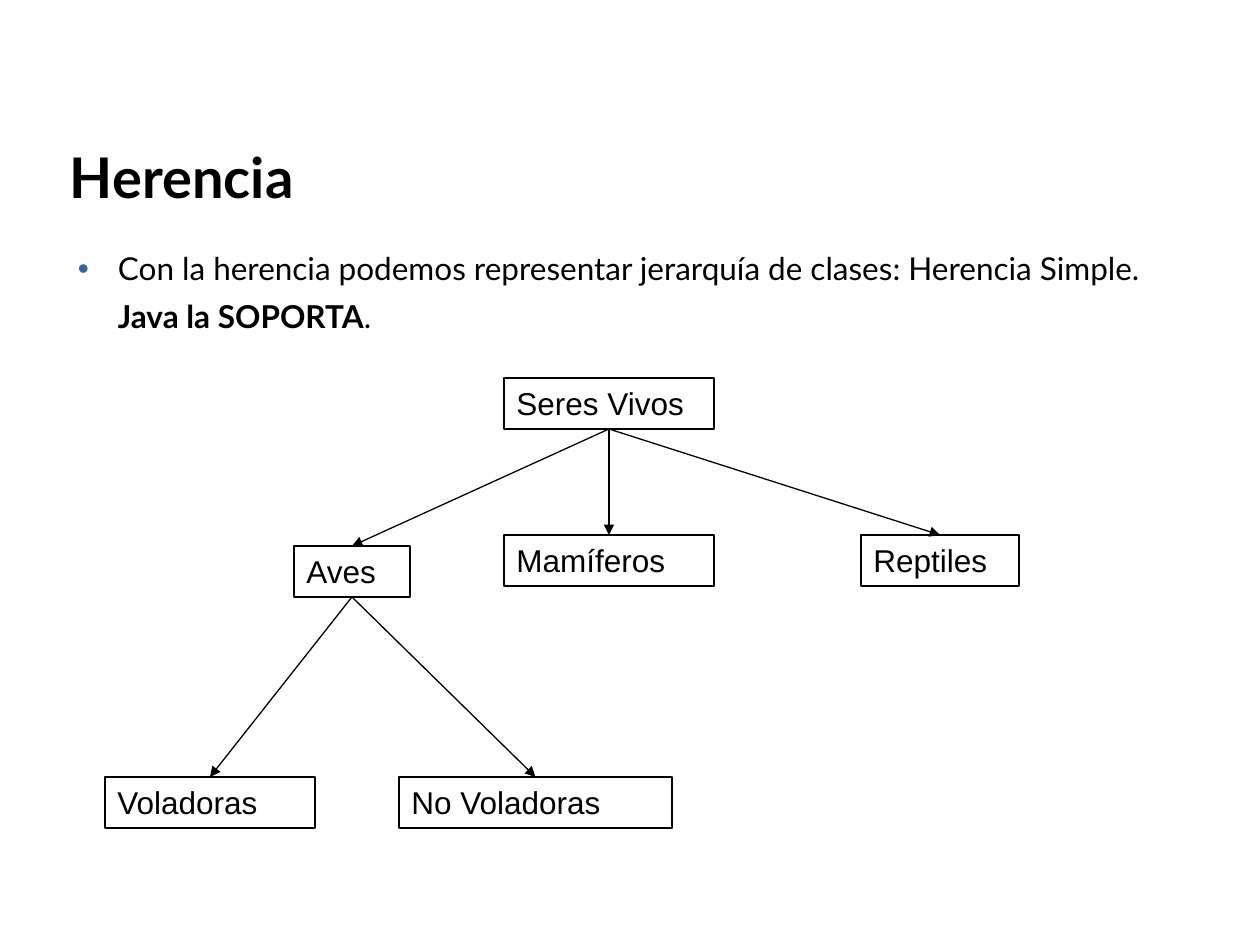
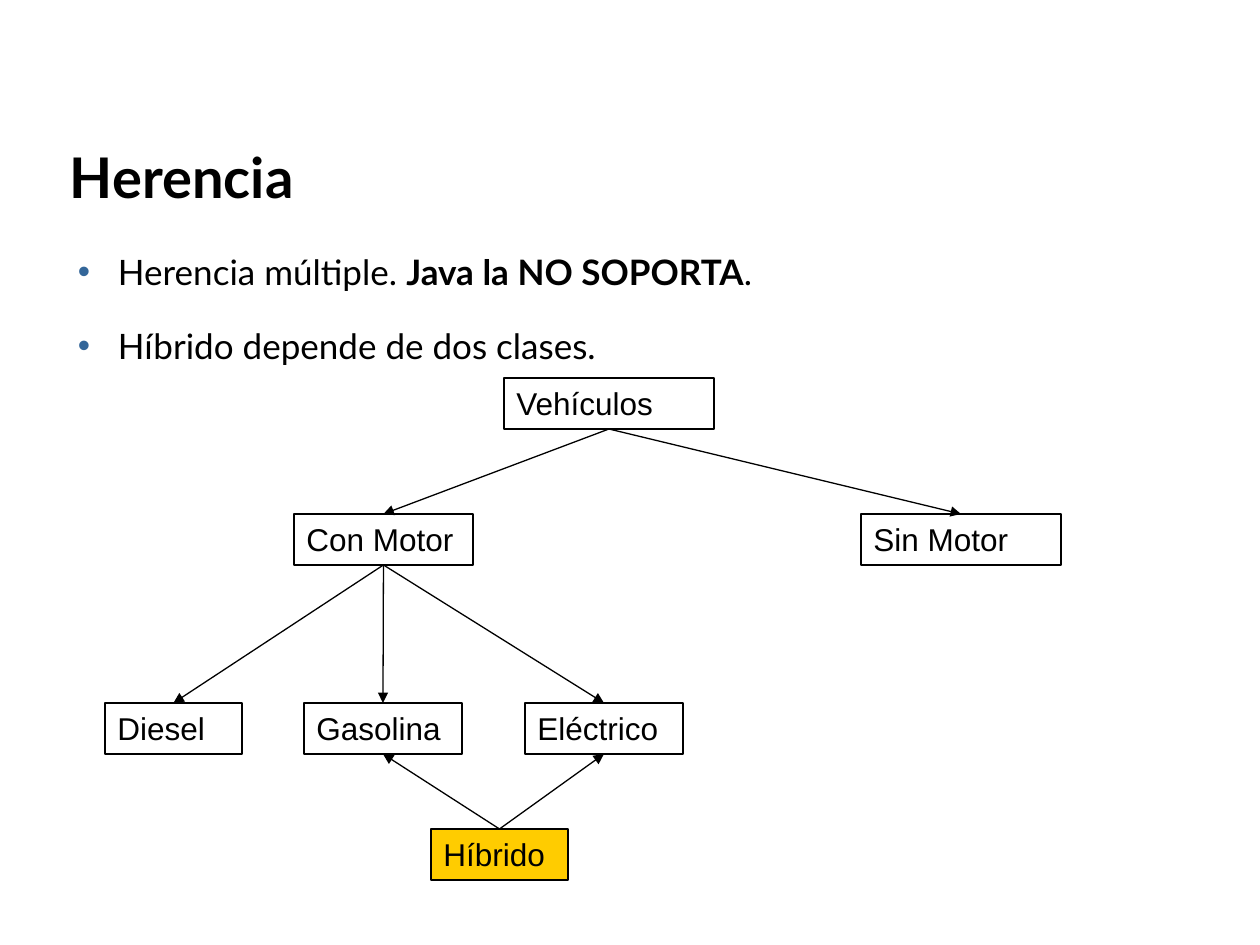
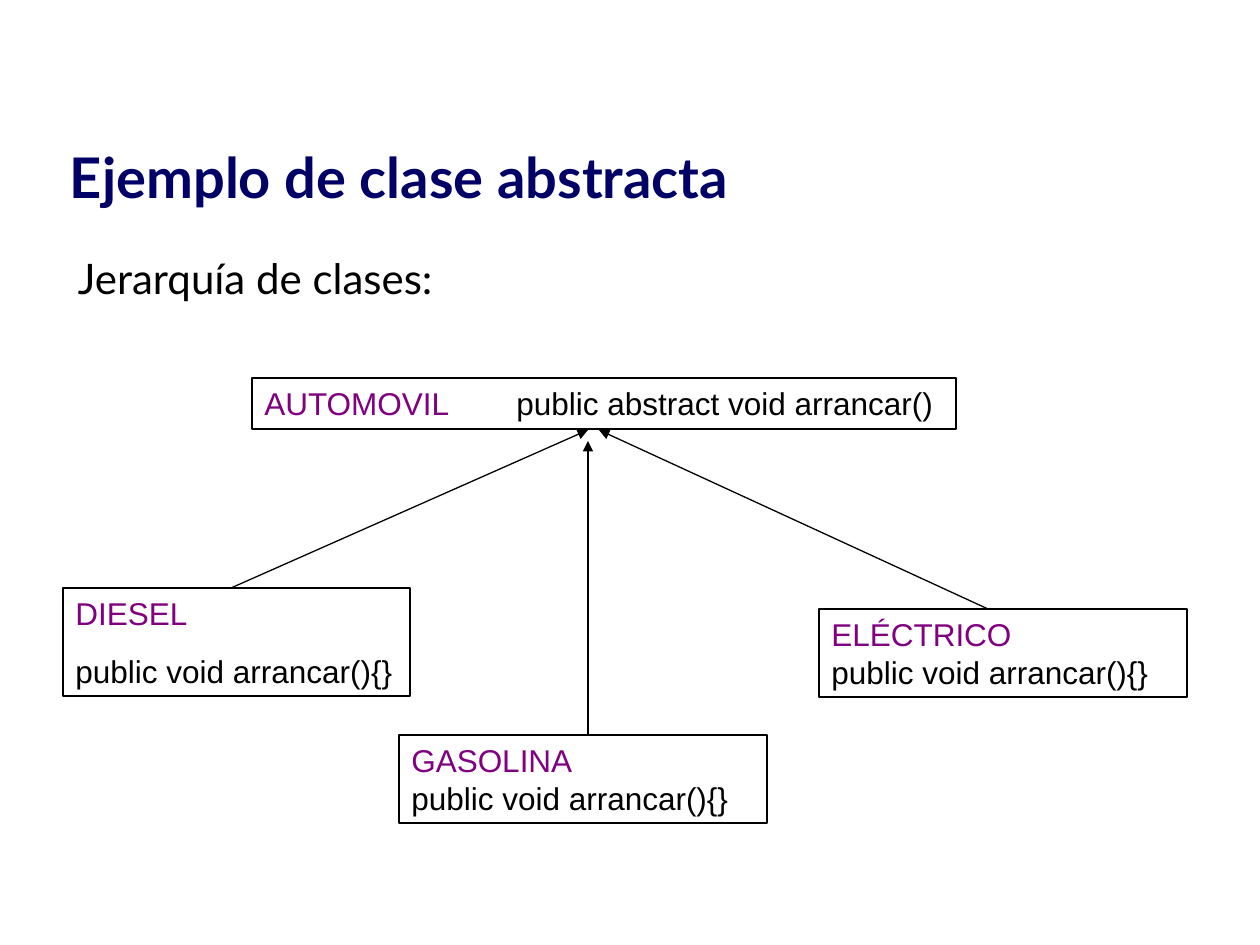
"""Build three slides on class inheritance with hierarchy diagrams."""
from lxml.etree import SubElement
from pptx import Presentation
from pptx.dml.color import RGBColor
from pptx.enum.shapes import MSO_CONNECTOR, MSO_SHAPE
from pptx.enum.text import MSO_ANCHOR as Anchor, MSO_AUTO_SIZE as AutoSize, PP_ALIGN as Align
from pptx.oxml.ns import qn
from pptx.util import Pt

EMU_PER_PX = 914400 / 126
BLACK = RGBColor(0x00, 0x00, 0x00)
NAVY = RGBColor(0x00, 0x00, 0x66)
PURPLE = RGBColor(0x80, 0x00, 0x80)
GOLD = RGBColor(0xFF, 0xCC, 0x00)
BULLET_BLUE = RGBColor(0x33, 0x66, 0x99)
HEADING_FONT, BOX_FONT = "Lato", "Arial"

TITLE_AREA = (64, 96, 1133, 120)
BODY_AREA = (64, 234, 1134, 655)
BODY_INSET = 6
BODY_INDENT, BULLET_HANG = 48, -40
BOX_HEIGHT = 51
BOX_SPACING = 11.2
TOP_SITE, BOTTOM_SITE = 0, 2

START = "public void arrancar(){}"

TREES = [
    {
        "title": "Herencia",
        "size": 18,
        "body": [[("Con la herencia podemos representar jerarquía de clases: Herencia Simple. ", False),
                  ("Java la SOPORTA", True), (".", False)]],
        "boxes": {
            "Aves": (294, 546, 116),
            "Voladoras": (105, 777, 210),
            "Seres Vivos": (504, 378, 210),
            "Reptiles": (861, 535, 158),
            "Mamíferos": (504, 535, 210),
            "No Voladoras": (399, 777, 273),
        },
        "children": {"Seres Vivos": ["Aves", "Mamíferos", "Reptiles"],
                     "Aves": ["Voladoras", "No Voladoras"]},
    },
    {
        "title": "Herencia",
        "size": 20,
        "body": [[("Herencia múltiple. ", False), ("Java la NO SOPORTA", True), (".", False)],
                 [("Híbrido depende de dos clases.", False)]],
        "boxes": {
            "Con Motor": (294, 514, 179),
            "Diesel": (105, 703, 137),
            "Vehículos": (504, 378, 210),
            "Sin Motor": (861, 514, 200),
            "Eléctrico": (525, 703, 158),
            "Gasolina": (304, 703, 158),
            "Híbrido": (431, 829, 137),
        },
        "children": {"Vehículos": ["Con Motor", "Sin Motor"],
                     "Con Motor": ["Diesel", "Gasolina", "Eléctrico"]},
        "parents": {"Híbrido": ["Gasolina", "Eléctrico"]},
    },
]
HIGHLIGHTS = {"Híbrido": GOLD}

ABSTRACT_TITLE = "Ejemplo de clase abstracta"
ABSTRACT_BODY = [[("Jerarquía de clases:", False)]]
CLASSES = [
    ((252, 378, 704, BOX_HEIGHT),
     [[("AUTOMOVIL \t", PURPLE), ("public abstract void arrancar()", BLACK)]], BOX_SPACING),
    ((63, 588, 347, 108), [[("DIESEL", PURPLE)], [(START, BLACK)]], BOX_SPACING),
    ((399, 735, 368, 88), [[("GASOLINA", PURPLE)], [(START, BLACK)]], 0),
    ((819, 609, 368, 88), [[("ELÉCTRICO", PURPLE)], [(START, BLACK)]], 0),
]
CLASS_ARROWS = [(231, 588, 588, 430), (588, 735, 588, 441), (988, 609, 599, 430)]


def px(length):
    return round(length * EMU_PER_PX)


def scaled(lengths):
    return [px(length) for length in lengths]


def style(run, font, size, color, bold=False):
    run.font.name = font
    run.font.size = Pt(size)
    run.font.bold = bold
    run.font.color.rgb = color


def set_insets(frame):
    frame.margin_left = frame.margin_right = px(BODY_INSET)
    frame.margin_top = frame.margin_bottom = px(BODY_INSET)


def fill_paragraphs(frame, lines):
    """Yield each paragraph of the frame with its list of (run, attribute)."""
    for index, line in enumerate(lines):
        paragraph = frame.add_paragraph() if index else frame.paragraphs[0]
        paragraph.alignment = Align.LEFT
        pairs = []
        for text, attribute in line:
            run = paragraph.add_run()
            run.text = text
            pairs.append((run, attribute))
        yield paragraph, pairs


def add_bullet(paragraph):
    properties = paragraph._p.get_or_add_pPr()
    SubElement(SubElement(properties, qn("a:buClr")), qn("a:srgbClr"), val=str(BULLET_BLUE))
    SubElement(properties, qn("a:buFont"), typeface="Arial")
    SubElement(properties, qn("a:buChar"), char="•")


def add_slide(deck, title, title_color, body, size, bulleted):
    slide = deck.slides.add_slide(deck.slide_layouts[5])
    heading = slide.shapes.title
    heading.left, heading.top, heading.width, heading.height = scaled(TITLE_AREA)
    frame = heading.text_frame
    frame.text = title
    frame.auto_size = AutoSize.NONE
    frame.vertical_anchor = Anchor.BOTTOM
    set_insets(frame)
    frame.paragraphs[0].alignment = Align.LEFT
    style(frame.paragraphs[0].runs[0], HEADING_FONT, 32, title_color, True)

    frame = slide.shapes.add_textbox(*scaled(BODY_AREA)).text_frame
    frame.word_wrap = True
    set_insets(frame)
    for paragraph, pairs in fill_paragraphs(frame, body):
        paragraph.line_spacing = 1.25
        paragraph.space_before = Pt(size * 0.625)
        properties = paragraph._p.get_or_add_pPr()
        properties.set("marL", str(px(BODY_INDENT)))
        properties.set("indent", str(px(BULLET_HANG)))
        if bulleted:
            add_bullet(paragraph)
        for run, bold in pairs:
            style(run, HEADING_FONT, size, BLACK, bold)
    return slide


def add_class_box(slide, area, lines, spacing, fill=None):
    box = slide.shapes.add_shape(MSO_SHAPE.RECTANGLE, *scaled(area))
    box.shadow.inherit = False
    if fill is None:
        box.fill.background()
    else:
        box.fill.solid()
        box.fill.fore_color.rgb = fill
    box.line.color.rgb = BLACK
    box.line.width = Pt(0.75)
    frame = box.text_frame
    frame.word_wrap = True
    frame.auto_size = AutoSize.SHAPE_TO_FIT_TEXT
    frame.vertical_anchor = Anchor.TOP
    for paragraph, pairs in fill_paragraphs(frame, lines):
        paragraph.space_before = Pt(spacing)
        for run, color in pairs:
            style(run, BOX_FONT, 18, color)
    return box


def add_arrow(slide, ends=(0, 0, 0, 0)):
    arrow = slide.shapes.add_connector(MSO_CONNECTOR.STRAIGHT, *scaled(ends))
    arrow.line.color.rgb = BLACK
    arrow.line.width = Pt(0.75)
    SubElement(arrow.line._get_or_add_ln(), qn("a:tailEnd"), type="triangle")
    SubElement(arrow._element.spPr, qn("a:effectLst"))
    return arrow


def link_boxes(slide, boxes, links, start_site, end_site):
    for source, targets in links.items():
        for target in targets:
            arrow = add_arrow(slide)
            arrow.begin_connect(boxes[source], start_site)
            arrow.end_connect(boxes[target], end_site)


def add_tree_slide(deck, tree):
    slide = add_slide(deck, tree["title"], BLACK, tree["body"], tree["size"], True)
    boxes = {
        name: add_class_box(slide, (*place, BOX_HEIGHT), [[(name, BLACK)]],
                            BOX_SPACING, HIGHLIGHTS.get(name))
        for name, place in tree["boxes"].items()
    }
    link_boxes(slide, boxes, tree["children"], BOTTOM_SITE, TOP_SITE)
    link_boxes(slide, boxes, tree.get("parents", {}), TOP_SITE, BOTTOM_SITE)


def add_abstract_slide(deck):
    slide = add_slide(deck, ABSTRACT_TITLE, NAVY, ABSTRACT_BODY, 24, False)
    for area, lines, spacing in CLASSES:
        add_class_box(slide, area, lines, spacing)
    for ends in CLASS_ARROWS:
        add_arrow(slide, ends)


def main():
    deck = Presentation()
    deck.slide_width, deck.slide_height = scaled((1260, 945))
    for tree in TREES:
        add_tree_slide(deck, tree)
    add_abstract_slide(deck)
    deck.save("out.pptx")


if __name__ == "__main__":
    main()
